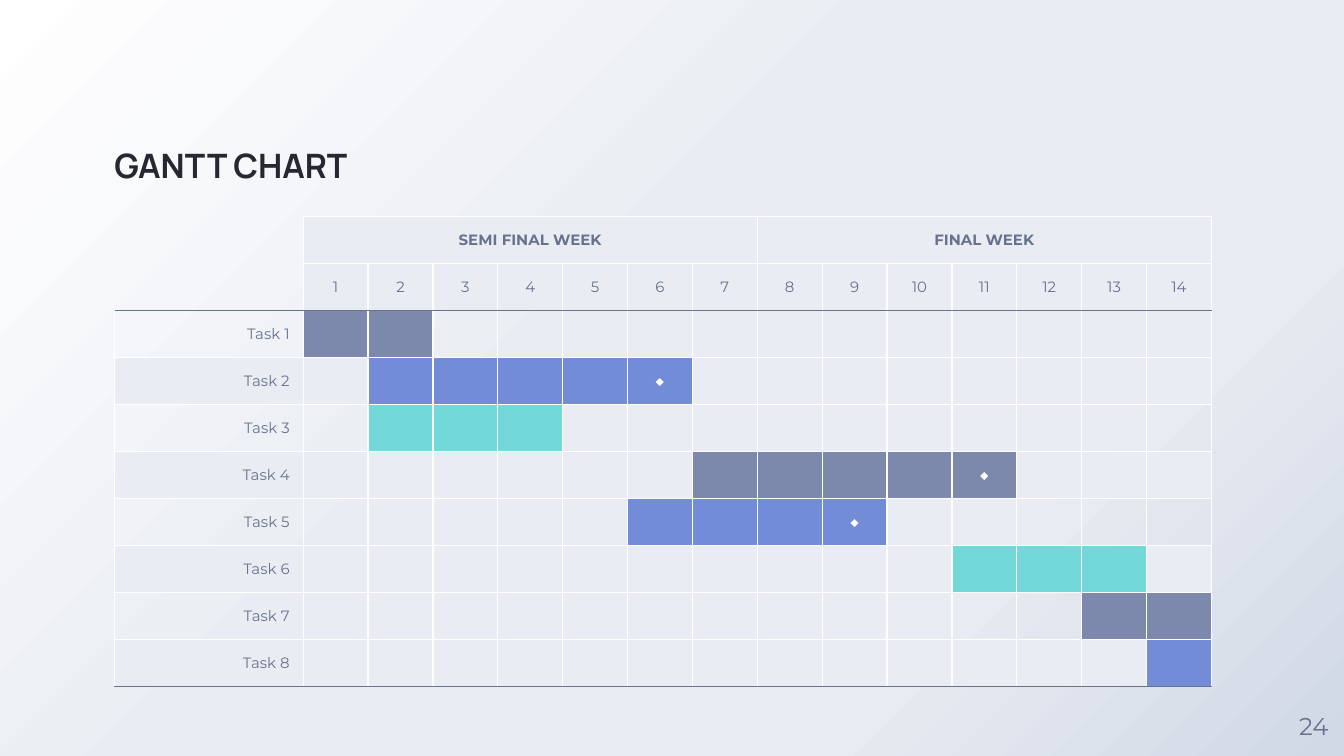
from lxml import etree
from pptx import Presentation
from pptx.dml.color import RGBColor
from pptx.enum.text import MSO_ANCHOR, MSO_AUTO_SIZE, PP_ALIGN
from pptx.oxml import parse_xml
from pptx.oxml.ns import nsdecls, qn
from pptx.util import Cm, Pt

LEFT, CENTER, RIGHT = PP_ALIGN.LEFT, PP_ALIGN.CENTER, PP_ALIGN.RIGHT
MIDDLE, BOTTOM = MSO_ANCHOR.MIDDLE, MSO_ANCHOR.BOTTOM
NO_AUTOFIT = MSO_AUTO_SIZE.NONE

# Palette
INK, MUTED, WHITE, PALE = "252831", "68728D", "FFFFFF", "E9EDF3"
SLATE, BLUE, TEAL = "7D89AC", "728CD8", "72D8D8"
BACKGROUND_STOPS = [(0, WHITE), (44, PALE), (72, PALE), (100, "D0D8E5")]

# Schedule: first day, last day, colour, whether it ends in a milestone
TASKS = [
    (1, 2, SLATE, False),
    (2, 6, BLUE, True),
    (2, 4, TEAL, False),
    (7, 11, SLATE, True),
    (6, 9, BLUE, True),
    (11, 13, TEAL, False),
    (13, 14, SLATE, False),
    (14, 14, BLUE, False),
]
WEEKS = ["SEMI FINAL WEEK", "FINAL WEEK"]
DAYS_PER_WEEK = 7
DAYS = DAYS_PER_WEEK * len(WEEKS)
HEADER_ROWS = 2
ROWS = HEADER_ROWS + len(TASKS)
TABLE_WIDTH, TABLE_HEIGHT, LABEL_WIDTH = Cm(20.74), Cm(8.89), Cm(3.57)
PLAIN_TABLE_STYLE = "{2D5ABB26-0587-4C30-8999-92F81FD0307C}"


def rgb(color):
    return RGBColor.from_string(color)


def write(frame, text, size=8, font="Montserrat", color=MUTED, bold=False,
          align=CENTER):
    paragraph = frame.paragraphs[0]
    paragraph.alignment = align
    run = paragraph.add_run()
    run.text = text
    run.font.size = Pt(size)
    run.font.name = font
    run.font.bold = bold
    run.font.color.rgb = rgb(color)


def set_frame(frame, anchor):
    frame.margin_left = frame.margin_top = 0
    frame.margin_right = frame.margin_bottom = 0
    frame.word_wrap = True
    frame.auto_size = NO_AUTOFIT
    frame.vertical_anchor = anchor


def set_background(slide):
    slide.background.fill.gradient()
    gradient = slide.element.find(".//" + qn("a:gradFill"))
    stops = "".join(
        f'<a:gs pos="{position * 1000}"><a:srgbClr val="{color}"/></a:gs>'
        for position, color in BACKGROUND_STOPS)
    gradient.getparent().replace(gradient, parse_xml(
        f'<a:gradFill {nsdecls("a")} rotWithShape="1"><a:gsLst>{stops}</a:gsLst>'
        '<a:path path="circle"><a:fillToRect r="100000" b="100000"/></a:path>'
        '</a:gradFill>'))


def add_title(slide):
    title = slide.shapes.title
    title.left, title.top = Cm(2.16), Cm(1.12)
    title.width, title.height = Cm(9.96), Cm(2.39)
    set_frame(title.text_frame, BOTTOM)
    write(title.text_frame, "GANTT CHART", size=18, font="Manrope",
          color=INK, bold=True, align=LEFT)


def add_page_number(slide):
    page_number = slide.shapes.add_textbox(Cm(24.26), Cm(13.15), Cm(1.14), Cm(1.14))
    set_frame(page_number.text_frame, MIDDLE)
    write(page_number.text_frame, "24", size=13)


def set_borders(cell, borders):
    properties = cell._tc.get_or_add_tcPr()
    for index, side in enumerate("LRTB"):
        if side in borders:
            properties.insert(index, parse_xml(
                f'<a:ln{side} {nsdecls("a")} w="9525"><a:solidFill>'
                f'<a:srgbClr val="{borders[side]}"/></a:solidFill></a:ln{side}>'))
        else:
            properties.insert(index, parse_xml(
                f'<a:ln{side} {nsdecls("a")} w="0"><a:noFill/></a:ln{side}>'))


def format_cell(cell, row, column):
    """Give one cell its row fill and its grid lines."""
    cell.vertical_anchor = MIDDLE
    in_corner = row < HEADER_ROWS and column == 0
    if in_corner or (row >= HEADER_ROWS and row % 2 == 0):
        cell.fill.background()
    else:
        cell.fill.solid()
        cell.fill.fore_color.rgb = rgb(PALE)

    borders = {"R": WHITE} if in_corner else dict.fromkeys("LRTB", WHITE)
    if row == HEADER_ROWS:
        borders["T"] = MUTED
    if row in (HEADER_ROWS - 1, ROWS - 1):
        borders["B"] = MUTED
    set_borders(cell, borders)

    # Keep blank cells from stretching their row
    paragraph = cell.text_frame.paragraphs[0]._p
    etree.SubElement(paragraph, qn("a:endParaRPr")).set("sz", "800")


def add_schedule(slide):
    frame = slide.shapes.add_table(ROWS, DAYS + 1, Cm(2.16), Cm(4.09),
                                   TABLE_WIDTH, TABLE_HEIGHT)
    schedule = frame.table
    schedule.first_row = schedule.horz_banding = False
    schedule._tbl.tblPr.find(qn("a:tableStyleId")).text = PLAIN_TABLE_STYLE

    # Grid
    for column, grid_column in enumerate(schedule.columns):
        grid_column.width = ((TABLE_WIDTH - LABEL_WIDTH) // DAYS if column
                             else LABEL_WIDTH)
    for row in range(ROWS):
        schedule.rows[row].height = TABLE_HEIGHT // ROWS
        for column in range(DAYS + 1):
            format_cell(schedule.cell(row, column), row, column)

    # Week and day headings
    for week, heading in enumerate(WEEKS):
        first = 1 + week * DAYS_PER_WEEK
        week_cell = schedule.cell(0, first)
        week_cell.merge(schedule.cell(0, first + DAYS_PER_WEEK - 1))
        write(week_cell.text_frame, heading, bold=True)
    for day in range(1, DAYS + 1):
        write(schedule.cell(1, day).text_frame, str(day))

    # Task bars and milestones
    for number, (start, end, color, milestone) in enumerate(TASKS, 1):
        row = HEADER_ROWS + number - 1
        write(schedule.cell(row, 0).text_frame, f"Task {number}", align=RIGHT)
        for day in range(start, end + 1):
            bar = schedule.cell(row, day).fill
            bar.solid()
            bar.fore_color.rgb = rgb(color)
        if milestone:
            write(schedule.cell(row, end).text_frame, "◆", color=WHITE)


def main():
    deck = Presentation()
    deck.slide_width, deck.slide_height = Cm(25.4), Cm(14.29)
    slide = deck.slides.add_slide(deck.slide_layouts[5])
    set_background(slide)
    add_title(slide)
    add_page_number(slide)
    add_schedule(slide)
    deck.save("out.pptx")


if __name__ == "__main__":
    main()
